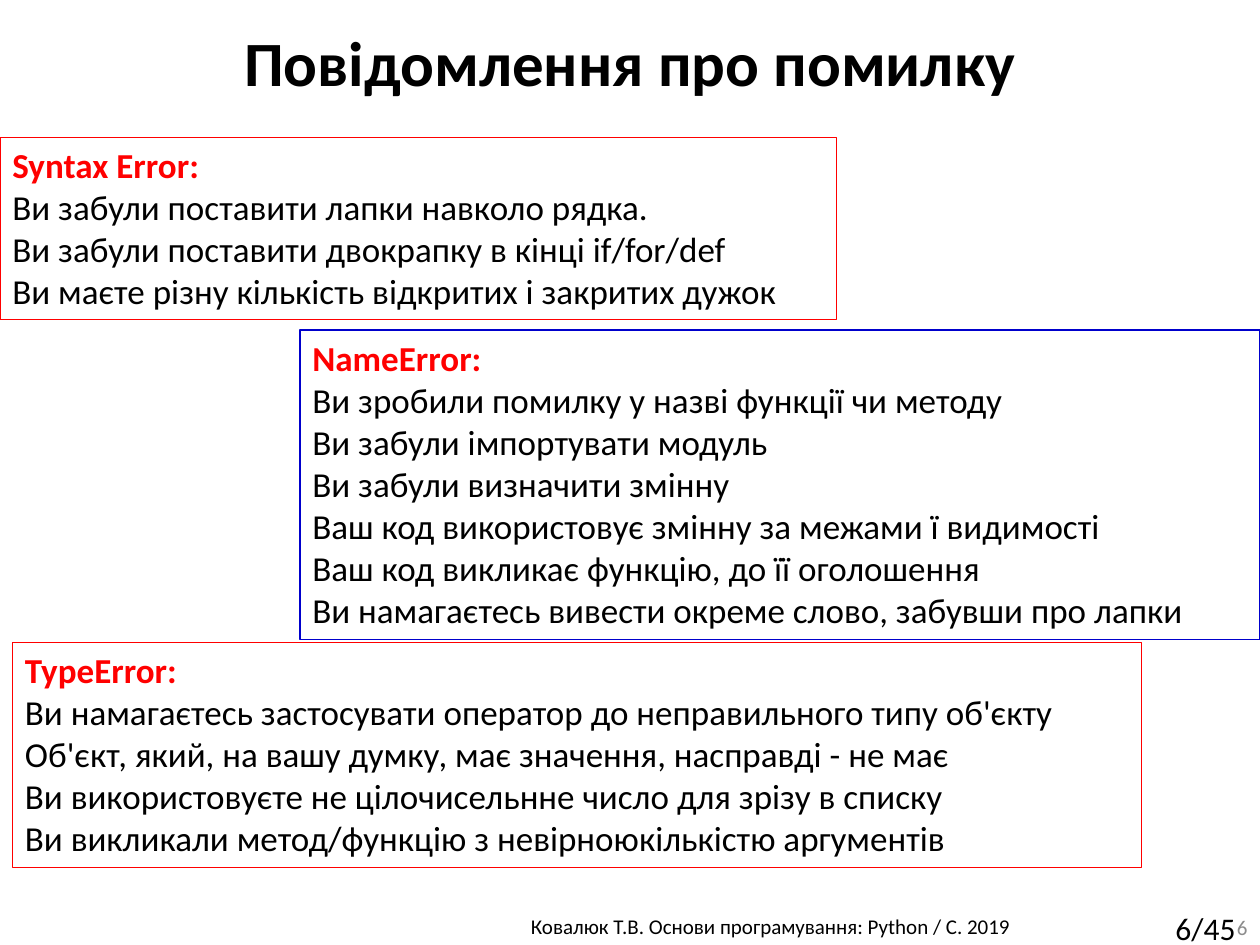
"""Build a slide listing common Python error messages and their causes."""
from pptx import Presentation
from pptx.dml.color import RGBColor
from pptx.enum.shapes import MSO_SHAPE
from pptx.enum.text import MSO_ANCHOR, PP_ALIGN
from pptx.util import Pt

RECTANGLE = MSO_SHAPE.RECTANGLE
TOP, MIDDLE = MSO_ANCHOR.TOP, MSO_ANCHOR.MIDDLE
LEFT, CENTER, RIGHT = PP_ALIGN.LEFT, PP_ALIGN.CENTER, PP_ALIGN.RIGHT

THEME = {
    "font": "Calibri",
    "black": RGBColor(0x00, 0x00, 0x00),
    "red": RGBColor(0xFF, 0x00, 0x00),
    "blue": RGBColor(0x00, 0x00, 0xCC),
    "gray": RGBColor(0x8C, 0x8C, 0x8C),
    "title": 36,
    "body": 20,
    "page": 18,
    "small": 12,
}
SLIDE_WIDTH, SLIDE_HEIGHT = 720, 540
LINE_HEIGHT, BOX_PADDING = 24.2, 7.4

LABELS = [
    {"text": "Ковалюк Т.В. Основи програмування: Python / C. 2019 ",
     "frame": (236.9, 518.4, 409.7, 21.6), "size": "small", "align": CENTER},
    {"text": "6/45", "frame": (664.6, 516.2, 61.2, 28.8), "size": "page", "wrap": False},
    {"text": "Повідомлення про помилку",
     "frame": (0, 10.1, SLIDE_WIDTH, 51), "size": "title", "align": CENTER, "bold": True},
    {"text": "6", "frame": (686.2, 519.8, 33.8, 20.2), "size": "small",
     "align": RIGHT, "color": "gray", "anchor": MIDDLE},
]

ERRORS = [
    {"name": "Syntax Error:", "left": 0, "top": 78.5, "width": 478, "border": "red", "causes": [
        "Ви забули поставити лапки навколо рядка.",
        "Ви забули поставити двокрапку в кінці if/for/def",
        "Ви маєте різну кількість відкритих і закритих дужок",
    ]},
    {"name": "NameError:", "left": 171.4, "top": 188.6, "width": 548.6, "border": "blue", "causes": [
        "Ви зробили помилку у назві функції чи методу",
        "Ви забули імпортувати модуль",
        "Ви забули визначити змінну",
        "Ваш код використовує змінну за межами ї видимості",
        "Ваш код викликає функцію, до її оголошення",
        "Ви намагаєтесь вивести окреме слово, забувши про лапки",
    ]},
    {"name": "TypeError:", "left": 7.2, "top": 367.2, "width": 645.1, "border": "red", "causes": [
        "Ви намагаєтесь застосувати оператор до неправильного типу об'єкту",
        "Об'єкт, який, на вашу думку, має значення, насправді - не має",
        "Ви використовуєте не цілочисельнне число для зрізу в списку",
        "Ви викликали метод/функцію з невірноюкількістю аргументів",
    ]},
]


def add_run(paragraph, text, size, color="black", bold=False, align=LEFT):
    paragraph.alignment = align
    run = paragraph.add_run()
    run.text = text
    run.font.name = THEME["font"]
    run.font.size = Pt(THEME[size])
    run.font.bold = bold
    run.font.color.rgb = THEME[color]


def add_label(slide, text, frame, size, align=LEFT, color="black",
              bold=False, wrap=True, anchor=TOP):
    text_frame = slide.shapes.add_textbox(*map(Pt, frame)).text_frame
    text_frame.word_wrap = wrap
    text_frame.vertical_anchor = anchor
    add_run(text_frame.paragraphs[0], text, size, color, bold, align)


def add_error_box(slide, name, left, top, width, border, causes):
    height = LINE_HEIGHT * (len(causes) + 1) + BOX_PADDING
    shape = slide.shapes.add_shape(RECTANGLE, *map(Pt, (left, top, width, height)))
    shape.shadow.inherit = False
    shape.fill.background()
    shape.line.color.rgb = THEME[border]
    shape.line.width = Pt(0.75)
    text_frame = shape.text_frame
    text_frame.word_wrap = True
    text_frame.vertical_anchor = TOP
    add_run(text_frame.paragraphs[0], name, "body", "red", True)
    for cause in causes:
        add_run(text_frame.add_paragraph(), cause, "body")


def main():
    presentation = Presentation()
    presentation.slide_width = Pt(SLIDE_WIDTH)
    presentation.slide_height = Pt(SLIDE_HEIGHT)
    slide = presentation.slides.add_slide(presentation.slide_layouts[6])
    for label in LABELS:
        add_label(slide, **label)
    for error in ERRORS:
        add_error_box(slide, **error)
    presentation.save("out.pptx")


if __name__ == "__main__":
    main()
